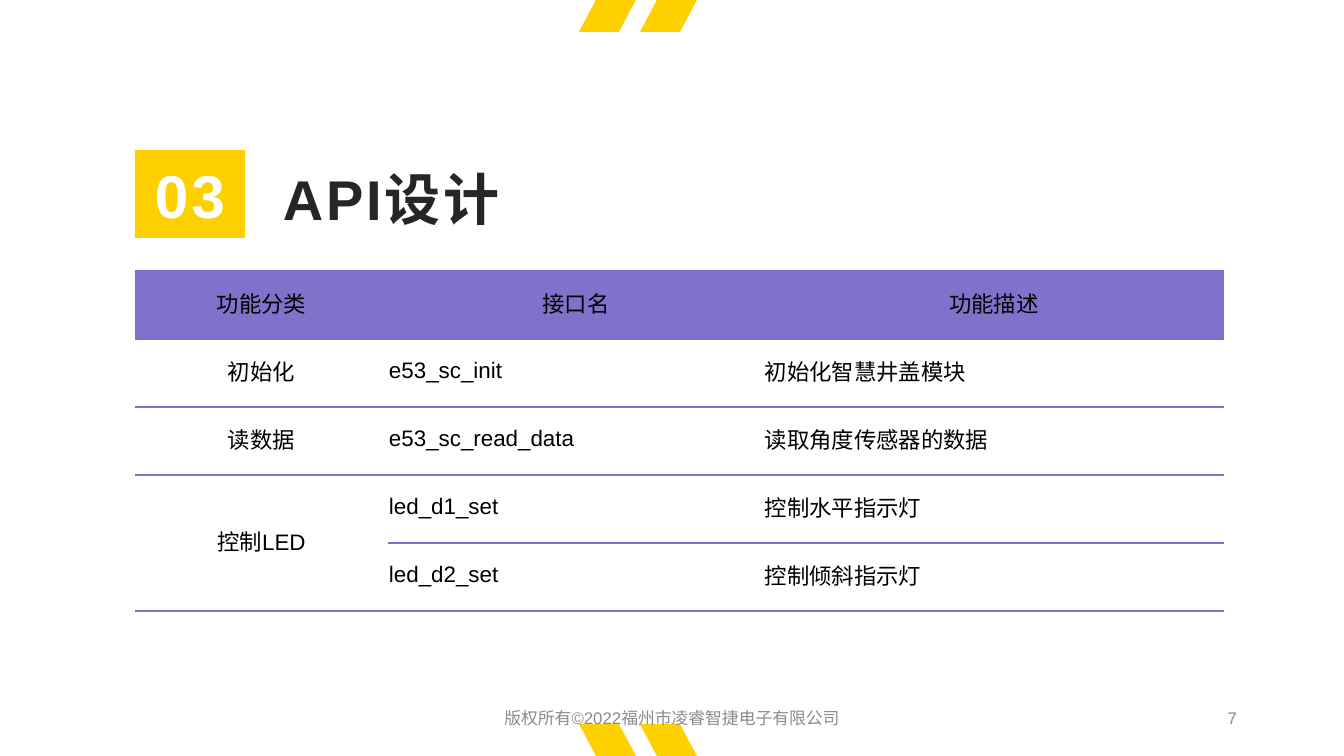
import pptx
import pptx.dml.color
import pptx.enum.shapes
import pptx.enum.text
import pptx.util
from lxml import etree

# Content
TITLE = "API设计"
NUMBER = "03"
FOOTER = "版权所有©2022福州市凌睿智捷电子有限公司"
PAGE_NUMBER = "7"
ROWS = [
    ("功能分类", "接口名", "功能描述"),
    ("初始化", "e53_sc_init", "初始化智慧井盖模块"),
    ("读数据", "e53_sc_read_data", "读取角度传感器的数据"),
    ("控制LED", "led_d1_set", "控制水平指示灯"),
    ("", "led_d2_set", "控制倾斜指示灯"),
]
MERGED = ((3, 0), (4, 0))

# Lengths in px
WIDTH, HEIGHT = 1344, 756
TABLE_LEFT, TABLE_TOP = 135, 271
COLUMN_WIDTHS = [253, 376, 460]
ROW_HEIGHT = 68
STRIPE_LEFTS = [579, 640]
STRIPE_WIDTH, STRIPE_HEIGHT, STRIPE_SLANT = 57, 32, 17

YELLOW, PURPLE, WHITE = "FED000", "7E72CA", "FFFFFF"
BLACK, DARK, GREY = "000000", "262626", "8C8C8C"
ALIGN = pptx.enum.text.PP_ALIGN
ANCHOR = pptx.enum.text.MSO_ANCHOR


def px(length):
    return pptx.util.Emu(round(length * 914400 / 100.8))


def color(value):
    return pptx.dml.color.RGBColor.from_string(value)


def paint(shape, value):
    shape.shadow.inherit = False
    shape.fill.solid()
    shape.fill.fore_color.rgb = color(value)
    shape.line.fill.background()


def write(frame, text, ink, size, align=ALIGN.LEFT, bold=False, spacing=0):
    para = frame.paragraphs[0]
    para.alignment = align
    span = para.add_run()
    span.text = text
    formats = {"name": "Arial", "size": pptx.util.Pt(size), "bold": bold}
    for name, value in formats.items():
        setattr(span.font, name, value)
    span.font.color.rgb = color(ink)
    if spacing:
        span.font._element.set("spc", str(spacing * 100))


def set_margins(target, margins):
    for side, value in margins.items():
        setattr(target, "margin_" + side, px(value))


def set_borders(cell):
    props = cell._tc.get_or_add_tcPr()
    namespace = props.nsmap["a"]
    for position, side in enumerate("LRTB"):
        line = etree.Element(f"{{{namespace}}}ln{side}", w="12700")
        if side in "LR":
            etree.SubElement(line, f"{{{namespace}}}noFill")
        else:
            fill = etree.SubElement(line, f"{{{namespace}}}solidFill")
            etree.SubElement(fill, f"{{{namespace}}}srgbClr", val=PURPLE)
        props.insert(position, line)


deck = pptx.Presentation()
deck.slide_width, deck.slide_height = px(WIDTH), px(HEIGHT)
page = deck.slides.add_slide(deck.slide_layouts[5])

# Slanted stripes at the top and bottom edges
for edge, inner in ((0, STRIPE_HEIGHT), (HEIGHT, HEIGHT - STRIPE_HEIGHT)):
    for left in STRIPE_LEFTS:
        right = left + STRIPE_WIDTH
        outline = page.shapes.build_freeform(left + STRIPE_SLANT, edge, scale=px(1))
        outline.add_line_segments(
            [(right, edge), (right - STRIPE_SLANT, inner), (left, inner)])
        paint(outline.convert_to_shape(), YELLOW)

# Section number and title
badge = page.shapes.add_shape(
    pptx.enum.shapes.MSO_SHAPE.RECTANGLE, px(135), px(150), px(110), px(88))
paint(badge, YELLOW)
badge.text_frame.vertical_anchor = ANCHOR.MIDDLE
badge.text_frame.word_wrap = False
write(badge.text_frame, NUMBER, WHITE, 43.2, ALIGN.CENTER, True, 2)

title = page.shapes.title
title.left, title.top, title.width, title.height = px(283), px(158), px(518), px(74)
title.text_frame.auto_size = pptx.enum.text.MSO_AUTO_SIZE.NONE
title.text_frame.vertical_anchor = ANCHOR.BOTTOM
set_margins(title.text_frame, dict.fromkeys(("left", "right", "top", "bottom"), 0))
write(title.text_frame, TITLE, DARK, 40, ALIGN.LEFT, True, 2)

# Footer and page number
for text, left, width, align in (
    (PAGE_NUMBER, 950, 297, ALIGN.RIGHT),
    (FOOTER, 454, 436, ALIGN.CENTER),
):
    box = page.shapes.add_textbox(px(left), px(700), px(width), px(35))
    box.text_frame.word_wrap = True
    box.text_frame.vertical_anchor = ANCHOR.MIDDLE
    write(box.text_frame, text, GREY, 12, align)

# Interface table
table = page.shapes.add_table(
    len(ROWS), len(COLUMN_WIDTHS), px(TABLE_LEFT), px(TABLE_TOP),
    px(sum(COLUMN_WIDTHS)), px(ROW_HEIGHT * len(ROWS))).table
table.first_row = table.horz_banding = False
for column, width in zip(table.columns, COLUMN_WIDTHS):
    column.width = px(width)
for row_index, texts in enumerate(ROWS):
    table.rows[row_index].height = px(ROW_HEIGHT)
    for column_index, text in enumerate(texts):
        cell = table.cell(row_index, column_index)
        cell.vertical_anchor = ANCHOR.MIDDLE
        set_margins(cell, {"left": 1, "right": 1, "top": 1, "bottom": 5})
        cell.fill.solid()
        cell.fill.fore_color.rgb = color(WHITE if row_index else PURPLE)
        set_borders(cell)
        if text:
            centred = row_index == 0 or column_index == 0
            write(cell.text_frame, text, BLACK, 16,
                  ALIGN.CENTER if centred else ALIGN.LEFT)
first, last = MERGED
table.cell(*first).merge(table.cell(*last))

deck.save("out.pptx")
